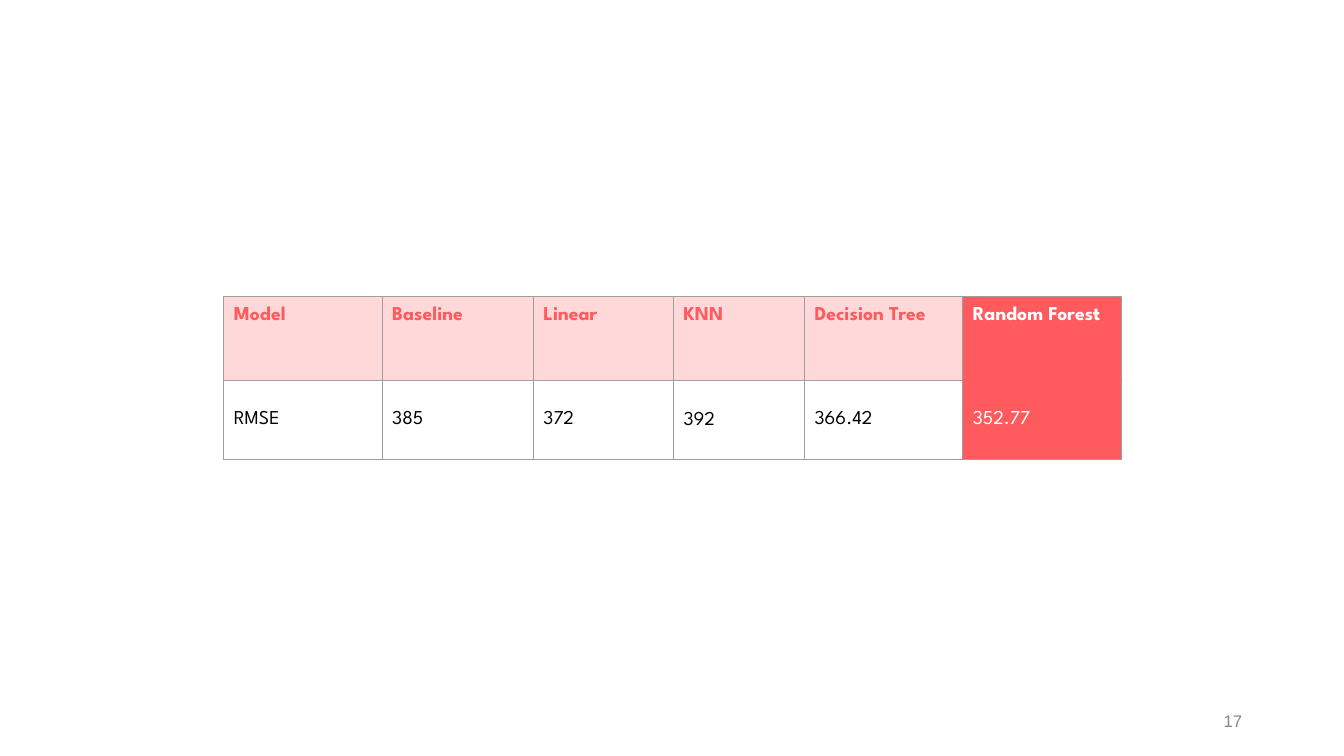
from lxml import etree
from pptx import Presentation
from pptx.dml.color import RGBColor
from pptx.enum.text import MSO_ANCHOR, PP_ALIGN
from pptx.oxml.ns import qn
from pptx.util import Inches, Pt

TOP, MIDDLE = MSO_ANCHOR.TOP, MSO_ANCHOR.MIDDLE
RIGHT = PP_ALIGN.RIGHT

SCORES = [
    ("Model", "RMSE", 1.57),
    ("Baseline", "385", 1.5),
    ("Linear", "372", 1.39),
    ("KNN", "392", 1.3),
    ("Decision Tree", "366.42", 1.57),
    ("Random Forest", "352.77", 1.57),
]
HEIGHTS = [0.83, 0.79]
BEST = "Random Forest"
PAGE = "17"
RED, TINT, WHITE, BLACK = "FF5A5E", "FF5A60", "FFFFFF", "000000"
GRID, GRAY = "9E9E9E", "888888"
SIDES = ["lnL", "lnR", "lnT", "lnB"]


def color(code):
    return RGBColor.from_string(code)


def write(para, text, font, size, code, bold=False):
    run = para.add_run()
    run.text = text
    run.font.name = font
    run.font.size = Pt(size)
    run.font.bold = bold
    run.font.color.rgb = color(code)


def paint(cell, code, alpha=None):
    cell.fill.solid()
    cell.fill.fore_color.rgb = color(code)
    if alpha:
        tone = cell.fill._xPr.find(".//" + qn("a:srgbClr"))
        etree.SubElement(tone, qn("a:alpha"), val=str(alpha * 1000))


def border(cell, inner):
    props = cell._tc.get_or_add_tcPr()
    for i, side in enumerate(SIDES):
        line = etree.Element(qn("a:" + side), w=str(Pt(0.75)))
        fill = etree.SubElement(line, qn("a:solidFill"))
        code = RED if side == inner else GRID
        etree.SubElement(fill, qn("a:srgbClr"), val=code)
        props.insert(i, line)


def add_scores(slide):
    width = sum(score[2] for score in SCORES)
    frame = slide.shapes.add_table(
        len(HEIGHTS), len(SCORES), Inches(2.22), Inches(2.94),
        Inches(width), Inches(sum(HEIGHTS)))
    table = frame.table
    table.first_row = False
    table.horz_banding = False
    for row, height in zip(table.rows, HEIGHTS):
        row.height = Inches(height)
    for c, (model, error, wide) in enumerate(SCORES):
        table.columns[c].width = Inches(wide)
        best = model == BEST
        for r, text in enumerate((model, error)):
            head = r == 0
            cell = table.cell(r, c)
            cell.margin_left = cell.margin_right = Inches(0.1)
            cell.margin_top = cell.margin_bottom = Inches(0.1)
            cell.vertical_anchor = TOP if head else MIDDLE
            if best:
                paint(cell, RED)
            elif head:
                paint(cell, TINT, 23)
            else:
                cell.fill.background()
            inner = ("lnB" if head else "lnT") if best else None
            border(cell, inner)
            code = WHITE if best else RED if head else BLACK
            para = cell.text_frame.paragraphs[0]
            if text == "392":
                para.line_spacing = 1.15
            write(para, text, "League Spartan", 14, code, head)


def add_page(slide):
    box = slide.shapes.add_textbox(
        Inches(9.42), Inches(6.95), Inches(3), Inches(0.4))
    frame = box.text_frame
    frame.word_wrap = True
    frame.vertical_anchor = MIDDLE
    para = frame.paragraphs[0]
    para.alignment = RIGHT
    write(para, PAGE, "Arial", 12, GRAY)


def main():
    deck = Presentation()
    deck.slide_width = Inches(13.33)
    deck.slide_height = Inches(7.5)
    slide = deck.slides.add_slide(deck.slide_layouts[6])
    add_page(slide)
    add_scores(slide)
    deck.save("out.pptx")


if __name__ == "__main__":
    main()
